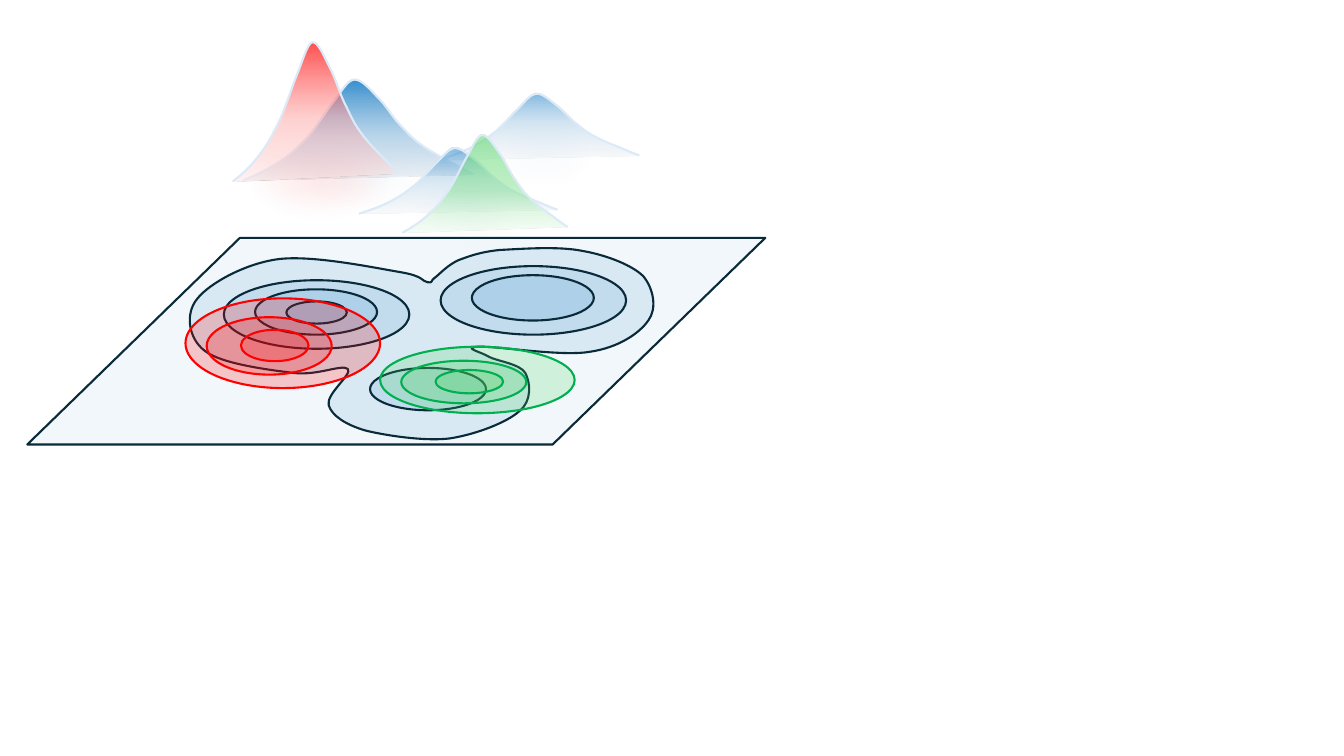
from lxml.etree import SubElement as Sub
from pptx import Presentation
from pptx.dml.color import RGBColor
from pptx.enum.shapes import MSO_SHAPE as Kind
from pptx.oxml.ns import qn
from pptx.util import Inches, Pt

NAVY = RGBColor(0x09, 0x2A, 0x39)
BLUE = RGBColor(0x00, 0x70, 0xC0)
SKY = RGBColor(0x71, 0xAB, 0xD6)
MIST = RGBColor(0xE1, 0xE6, 0xEB)
RIM = RGBColor(0xDC, 0xEA, 0xF7)
RED = RGBColor(0xFF, 0x00, 0x00)
ROSE = RGBColor(0xFF, 0xA3, 0xA3)
BLUSH = RGBColor(0xFF, 0xE7, 0xE7)
LEAF = RGBColor(0x47, 0xD4, 0x5A)
LIME = RGBColor(0x84, 0xE2, 0x91)
MINT = RGBColor(0xD3, 0xF5, 0xD7)
GREEN = RGBColor(0x00, 0xB0, 0x50)
MOSS = RGBColor(0x92, 0xD0, 0x50)

# Curves: a start point, then three Bezier points per segment
BASIN = [
    (3.45, 3.66), (3.39, 3.61), (3.15, 3.73), (2.91, 3.7),
    (2.67, 3.67), (2.19, 3.61), (2.03, 3.48), (1.87, 3.36), (1.83, 3.11), (1.96, 2.96),
    (2.08, 2.81), (2.44, 2.61), (2.77, 2.57), (3.11, 2.53), (3.73, 2.66), (3.97, 2.7),
    (4.21, 2.74), (4.18, 2.79), (4.24, 2.8), (4.3, 2.81), (4.26, 2.79), (4.32, 2.75),
    (4.37, 2.71), (4.44, 2.63), (4.55, 2.58), (4.66, 2.54), (4.76, 2.5), (4.96, 2.48),
    (5.17, 2.47), (5.54, 2.44), (5.78, 2.49), (6.01, 2.53), (6.27, 2.63), (6.38, 2.74),
    (6.48, 2.86), (6.52, 3.06), (6.43, 3.18), (6.34, 3.31), (6.13, 3.45), (5.85, 3.49),
    (5.57, 3.54), (4.91, 3.43), (4.74, 3.44), (4.58, 3.45), (4.77, 3.49), (4.85, 3.54),
    (4.92, 3.58), (5.16, 3.61), (5.21, 3.7), (5.26, 3.79), (5.28, 3.98), (5.15, 4.08),
    (5.03, 4.19), (4.72, 4.31), (4.46, 4.35), (4.21, 4.38), (3.82, 4.32), (3.62, 4.27),
    (3.42, 4.21), (3.29, 4.12), (3.26, 4.02), (3.23, 3.91), (3.5, 3.71), (3.45, 3.66),
]
# Bell profile in a frame 2.29 wide and 1 high
BELL = [
    (0, 1), (0.1, 0.96), (0.19, 0.92), (0.29, 0.86),
    (0.39, 0.8), (0.5, 0.72), (0.6, 0.61), (0.7, 0.52), (0.81, 0.33), (0.89, 0.23),
    (0.97, 0.13), (1.03, 0.01), (1.1, 0), (1.18, -0.01), (1.28, 0.12), (1.35, 0.19),
    (1.42, 0.26), (1.47, 0.35), (1.54, 0.43), (1.61, 0.5), (1.66, 0.57), (1.76, 0.64),
    (1.85, 0.71), (2.01, 0.79), (2.1, 0.84), (2.19, 0.89), (2.24, 0.92), (2.29, 0.94),
]


class Board:
    """Holds the slide, the line weight and the target of new shapes."""

    def __init__(self, slide):
        self.slide = slide
        self.home = slide.shapes
        self.weight = Pt(1.5)
        self.blur = Pt(25)

    def group(self):
        self.home = self.slide.shapes.add_group_shape().shapes

    def paint(self, shape, color, alpha, line):
        shape.shadow.inherit = False
        shape.fill.solid()
        shape.fill.fore_color.rgb = color
        tint = shape.element.spPr.find(".//" + qn("a:srgbClr"))
        Sub(tint, qn("a:alpha"), val=str(alpha * 1000))
        self.edge(shape, line)

    def edge(self, shape, line):
        if line is None:
            shape.line.fill.background()
        else:
            shape.line.color.rgb = line
            shape.line.width = self.weight

    def form(self, kind, box, color, alpha, line=None):
        shape = self.home.add_shape(kind, *map(Inches, box))
        self.paint(shape, color, alpha, line)
        return shape

    def oval(self, box, color=BLUE, alpha=10, line=NAVY):
        return self.form(Kind.OVAL, box, color, alpha, line)

    def rings(self, left, top, high, color, line):
        """Three nested ovals that share one layout, scaled in height."""
        self.group()
        for dx, dy, wide, part in ((0, 0, 1.93, 1), (0.21, 0.21, 1.24, 0.64),
                                   (0.55, 0.35, 0.67, 0.35)):
            box = (left + dx, top + dy * high, wide, part * high)
            self.oval(box, color, 20, line)

    def halo(self, box, color):
        shape = self.oval(box, color, line=None)
        soft = shape.element.spPr.find(qn("a:effectLst"))
        Sub(soft, qn("a:softEdge"), rad=str(self.blur))

    def curve(self, points, close):
        dots = [(Inches(x), Inches(y)) for x, y in points]
        pen = self.home.build_freeform(*dots[0])
        pen.add_line_segments(dots[1:], close=close)
        shape = pen.convert_to_shape()
        # Turn every three straight steps into one Bezier segment
        steps = shape.element.findall(".//" + qn("a:lnTo"))
        for i in range(0, len(steps), 3):
            bend = steps[i].makeelement(qn("a:cubicBezTo"))
            steps[i].addprevious(bend)
            for step in steps[i:i + 3]:
                bend.append(step[0])
                step.getparent().remove(step)
        shape.shadow.inherit = False
        return shape

    def hill(self, box, stops):
        left, top, wide, high = box
        points = [(left + x * wide / 2.29, top + y * high) for x, y in BELL]
        shape = self.curve(points, False)
        shape.fill.gradient()
        shape.fill.gradient_angle = 270
        ramp = shape.element.spPr.find(".//" + qn("a:gsLst"))
        for old in list(ramp):
            ramp.remove(old)
        for pos, color, alpha in stops:
            stop = Sub(ramp, qn("a:gs"), pos=str(pos * 1000))
            tint = Sub(stop, qn("a:srgbClr"), val=str(color))
            Sub(tint, qn("a:alpha"), val=str(alpha * 1000))
        self.edge(shape, RIM)


def main():
    deck = Presentation()
    deck.slide_width, deck.slide_height = Inches(13.33), Inches(7.5)
    board = Board(deck.slides.add_slide(deck.slide_layouts[6]))

    # Ground plane and outer contour
    plane = board.form(Kind.PARALLELOGRAM, (0.27, 2.36, 7.32, 2.05), BLUE, 5, NAVY)
    plane.adjustments[0] = 1.029
    board.paint(board.curve(BASIN, True), BLUE, 10, NAVY)

    # Blue contours
    for left, top in ((4.37, 2.64), (2.22, 2.78)):
        board.oval((left, top, 1.84, 0.68))
        board.oval((left + 0.31, top + 0.09, 1.21, 0.45))
    board.oval((2.84, 2.99, 0.6, 0.22))
    board.oval((3.67, 3.65, 1.15, 0.42))

    # Red and green contours
    board.rings(1.84, 2.96, 0.89, RED, RED)
    board.rings(3.77, 3.44, 0.66, LEAF, GREEN)

    # Hills, each above a soft halo
    deep = ((0, BLUE, 80), (55, SKY, 50), (100, MIST, 50))
    pale = ((0, BLUE, 50), (46, SKY, 30), (100, MIST, 20))
    warm = ((0, RED, 70), (55, ROSE, 50), (100, BLUSH, 50))
    fresh = ((0, LEAF, 50), (58, LIME, 50), (100, MINT, 20))
    board.group()
    for halo, color, hill, stops in (
        ((1.95, 1.34, 3.32, 0.86), BLUE, (2.41, 0.79, 2.29, 1), deep),
        ((3.97, 1.13, 2.85, 0.86), BLUE, (4.37, 0.93, 1.97, 0.65), pale),
        ((3.16, 1.67, 2.85, 0.86), BLUE, (3.56, 1.47, 1.97, 0.65), pale),
        ((1.98, 1.18, 2.38, 1.19), RED, (2.31, 0.42, 1.64, 1.38), warm),
        ((3.66, 1.87, 2.38, 0.84), MOSS, (3.99, 1.34, 1.64, 0.97), fresh),
    ):
        board.halo(halo, color)
        board.hill(hill, stops)

    deck.save("out.pptx")


if __name__ == "__main__":
    main()
